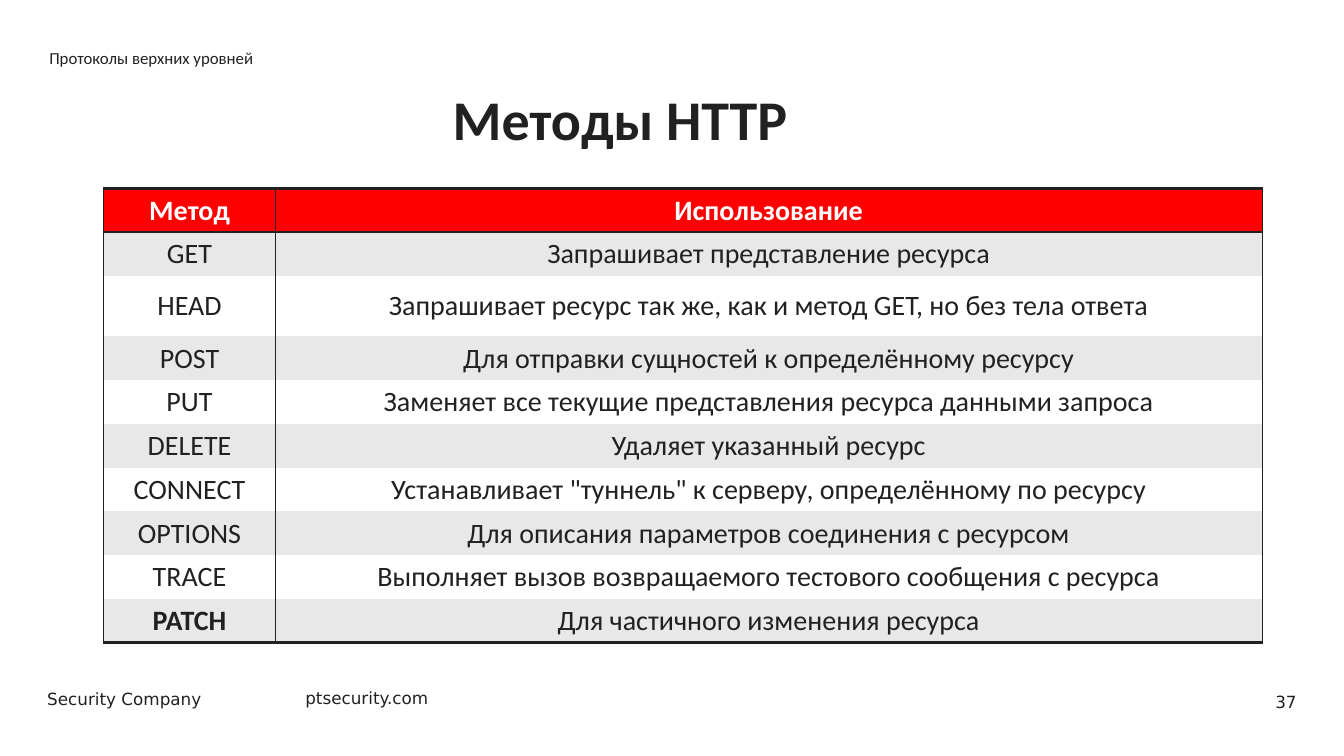
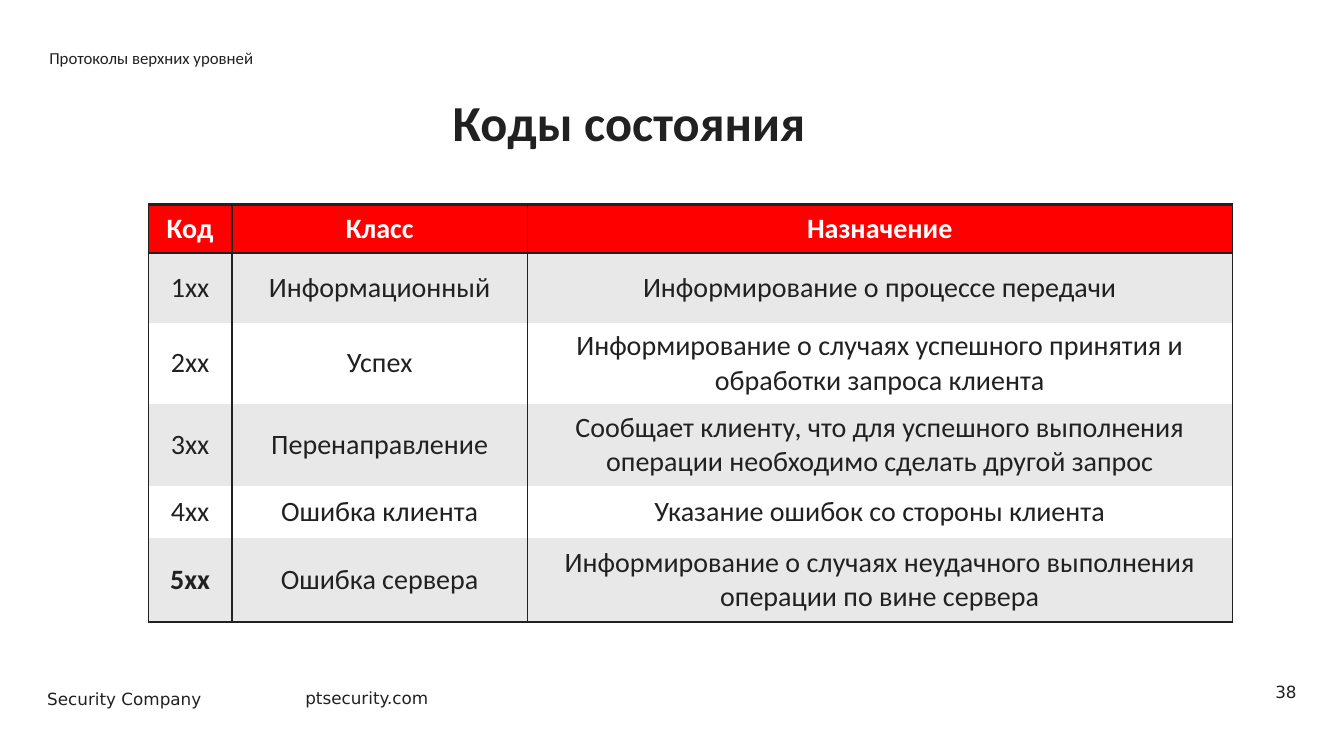
from dataclasses import dataclass
from lxml.etree import SubElement
from pptx import Presentation
from pptx.dml.color import RGBColor
from pptx.enum.text import MSO_ANCHOR, MSO_AUTO_SIZE, PP_ALIGN
from pptx.oxml.ns import qn
from pptx.util import Inches, Pt


@dataclass(frozen=True)
class Theme:
    ink: str = "212121"
    paper: str = "FFFFFF"
    accent: str = "FF0000"
    band: str = "E8E8E8"
    text_font: str = "Calibri"
    footer_font: str = "DejaVu Sans"
    small: int = 12
    table: int = 20
    title_line: int = 48
    thin: int = 1
    thick: int = 2
    plain_table: str = "{2D5ABB26-0587-4C30-8999-92F81FD0307C}"


theme = Theme()
prs = Presentation()
prs.slide_width, prs.slide_height = Inches(13.33), Inches(7.5)


def share(left, top, width, height):
    """Turn percentages of the slide into lengths."""
    across, down = prs.slide_width / 100, prs.slide_height / 100
    return int(left * across), int(top * down), int(width * across), int(height * down)


def write(frame, text, size, font=theme.text_font, color=theme.ink, bold=False,
          align=PP_ALIGN.LEFT, anchor=MSO_ANCHOR.MIDDLE):
    frame.text = text
    frame.vertical_anchor = anchor
    paragraph = frame.paragraphs[0]
    paragraph.alignment = align
    paragraph.font.size, paragraph.font.name = Pt(size), font
    paragraph.font.bold = bold
    paragraph.font.color.rgb = RGBColor.from_string(color)
    return paragraph


# Content: positions, columns and rows are percentages of the slide
topics = [
    dict(
        title="Методы HTTP", title_size=40, page="37", page_top=90.13,
        corner=(7.73, 24.93), columns=[12.75, 73.44],
        rows=[5.47] * 2 + [8] + [5.47] * 7,
        cells=[
            ("Метод", "Использование"),
            ("GET", "Запрашивает представление ресурса"),
            ("HEAD", "Запрашивает ресурс так же, как и метод GET, но без тела ответа"),
            ("POST", "Для отправки сущностей к определённому ресурсу"),
            ("PUT", "Заменяет все текущие представления ресурса данными запроса"),
            ("DELETE", "Удаляет указанный ресурс"),
            ("CONNECT", 'Устанавливает "туннель" к серверу, определённому по ресурсу'),
            ("OPTIONS", "Для описания параметров соединения с ресурсом"),
            ("TRACE", "Выполняет вызов возвращаемого тестового сообщения с ресурса"),
            ("PATCH", "Для частичного изменения ресурса"),
        ],
    ),
    dict(
        title="Коды состояния", title_size=36, page="38", page_top=88.8,
        corner=(11.03, 27.07), columns=[6.23, 21.98, 52.44],
        rows=[6.4, 9.2, 10.8, 10.8, 6.93, 11.07],
        cells=[
            ("Код", "Класс", "Назначение"),
            ("1хх", "Информационный", "Информирование о процессе передачи"),
            ("2хх", "Успех",
             "Информирование о случаях успешного принятия и обработки запроса клиента"),
            ("3хх", "Перенаправление",
             "Сообщает клиенту, что для успешного выполнения операции "
             "необходимо сделать другой запрос"),
            ("4хх", "Ошибка клиента", "Указание ошибок со стороны клиента"),
            ("5хх", "Ошибка сервера",
             "Информирование о случаях неудачного выполнения операции по вине сервера"),
        ],
    ),
]

for topic in topics:
    slide = prs.slides.add_slide(prs.slide_layouts.get_by_name("Title Only"))

    # Title
    heading = slide.shapes.title
    heading.left, heading.top, heading.width, heading.height = share(32.93, 10.53, 33.38, 16)
    heading_line = write(heading.text_frame, topic["title"], topic["title_size"],
                         bold=True, anchor=MSO_ANCHOR.TOP)
    heading_line.line_spacing = Pt(theme.title_line)
    heading.text_frame.auto_size = MSO_AUTO_SIZE.NONE

    # Section name, footer and page number
    for text, area, font, align, wrap in [
        ("Протоколы верхних уровней", (2.93, 4.93, 77.49, 5.33),
         theme.text_font, PP_ALIGN.LEFT, True),
        ("Security Company", (2.78, 90.4, 14.85, 4),
         theme.footer_font, PP_ALIGN.LEFT, False),
        ("ptsecurity.com", (21.98, 90.27, 10.8, 4),
         theme.footer_font, PP_ALIGN.LEFT, False),
        (topic["page"], (80.42, topic["page_top"], 16.8, 5.33),
         theme.footer_font, PP_ALIGN.RIGHT, True),
    ]:
        label = slide.shapes.add_textbox(*share(*area)).text_frame
        label.word_wrap = wrap
        write(label, text, theme.small, font, align=align)

    # Table grid
    columns, rows = topic["columns"], topic["rows"]
    table_frame = slide.shapes.add_table(
        len(rows), len(columns), *share(*topic["corner"], sum(columns), sum(rows)))
    table_frame.element.find(".//" + qn("a:tableStyleId")).text = theme.plain_table
    table = table_frame.table
    for column, width in zip(table.columns, columns):
        column.width = int(width * prs.slide_width / 100)
    for row, height in zip(table.rows, rows):
        row.height = int(height * prs.slide_height / 100)

    # Table cells: red header, alternating bands, bold last key
    last = len(rows) - 1
    for r, entries in enumerate(topic["cells"]):
        header = r == 0
        fill = theme.accent if header else theme.band if r % 2 else theme.paper
        borders = {
            "a:lnL": theme.thin,
            "a:lnR": theme.thin,
            "a:lnT": theme.thick if r in (0, 1) else 0,
            "a:lnB": theme.thick if r in (0, last) else 0,
        }
        for c, text in enumerate(entries):
            cell = table.cell(r, c)
            write(cell.text_frame, text, theme.table,
                  color=theme.paper if header else theme.ink,
                  bold=header or (r == last and c == 0), align=PP_ALIGN.CENTER)
            cell.vertical_anchor = MSO_ANCHOR.MIDDLE
            properties = cell._tc.get_or_add_tcPr()
            for side, points in borders.items():
                edge = SubElement(properties, qn(side), w=str(Pt(points)))
                if points:
                    paint = SubElement(edge, qn("a:solidFill"))
                    SubElement(paint, qn("a:srgbClr"), val=theme.ink)
                else:
                    SubElement(edge, qn("a:noFill"))
            cell.fill.solid()
            cell.fill.fore_color.rgb = RGBColor.from_string(fill)

prs.save("out.pptx")
